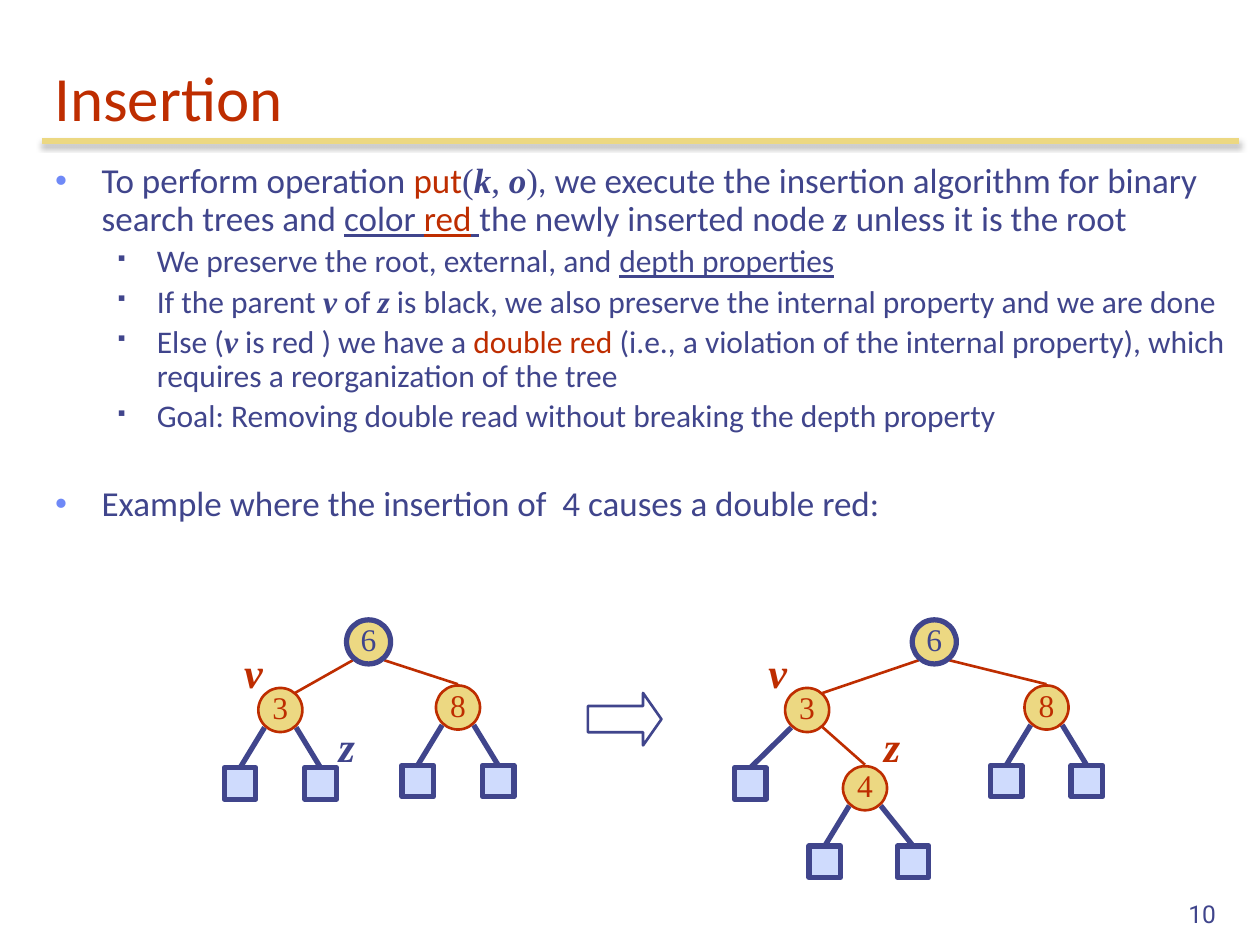
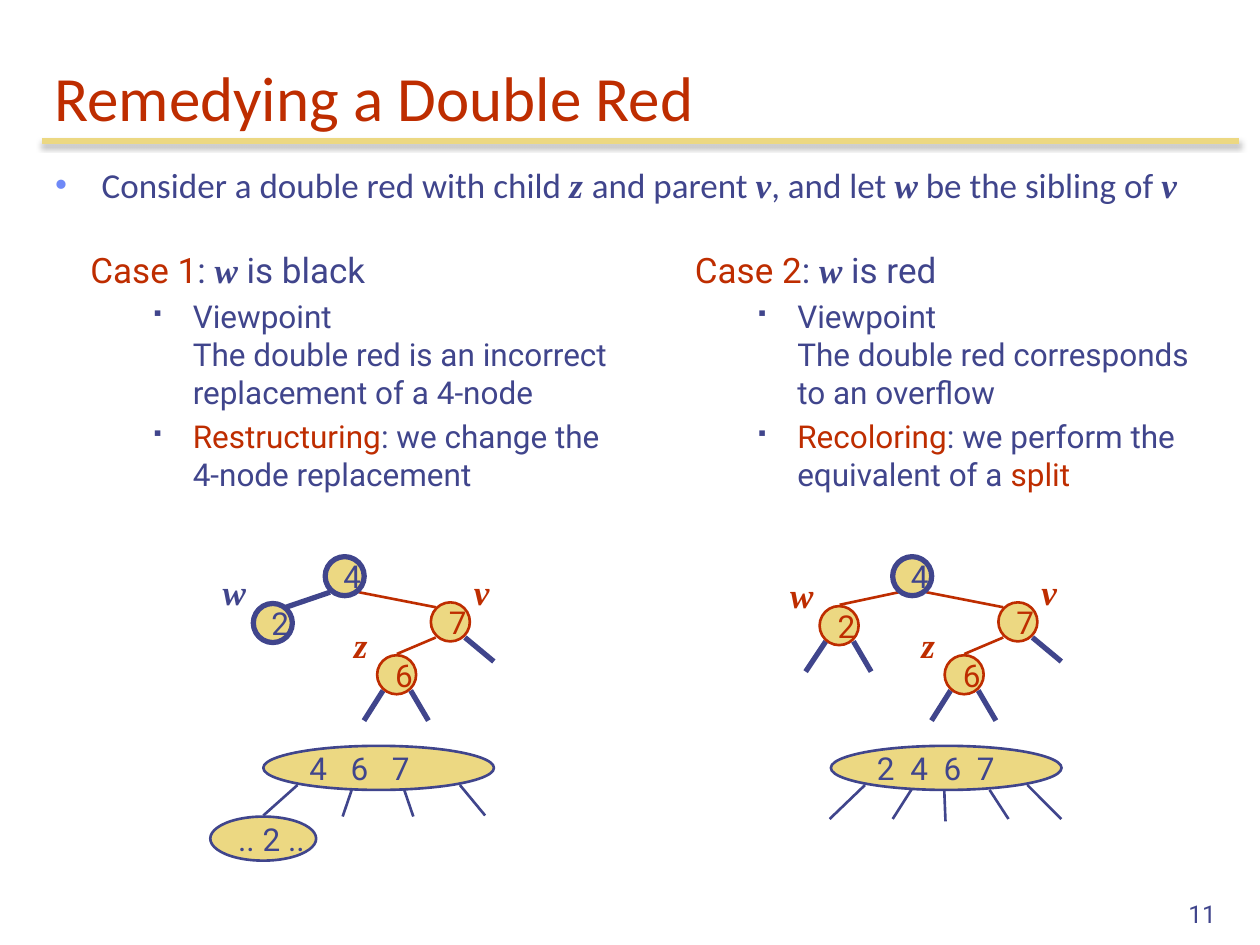
import math

import pptx
import pptx.dml.color
import pptx.enum.shapes
import pptx.enum.text
import pptx.oxml.ns
import pptx.util
from lxml import etree

Pt = pptx.util.Pt
qn = pptx.oxml.ns.qn
rgb = pptx.dml.color.RGBColor.from_string
SHAPE = pptx.enum.shapes.MSO_SHAPE
LINE = pptx.enum.shapes.MSO_CONNECTOR.STRAIGHT
ANCHOR = pptx.enum.text.MSO_ANCHOR
ALIGN = pptx.enum.text.PP_ALIGN

BLUE, RED, GOLD, PALE, DOT = "40458C", "BE2D00", "ECD882", "CFDBFD", "6F89F7"
BODY, MATH, LABEL = "Calibri", "Times New Roman", "Roboto"
THIN, THICK = 1.5, 3

# bullet, its font, colour and size in percent, left margin, hanging indent, text size
OUTLINE = {
    "point": ("•", MATH, DOT, 110, 27, 27, 20),
    "detail": ("§", "Wingdings", BLUE, 60, 58.5, 22.5, 18),
    "case": (None, None, None, None, 27, 27, 20),
}


def draw(slide, kind, place, colour, width, fill=None):
    """Add a preset shape at (left, top, width, height) or a LINE at (x1, y1, x2, y2)."""
    place = [Pt(length) for length in place]
    if kind is LINE:
        figure = slide.shapes.add_connector(kind, *place)
    else:
        figure = slide.shapes.add_shape(kind, *place)
        if fill:
            figure.fill.solid()
            figure.fill.fore_color.rgb = rgb(fill)
        else:
            figure.fill.background()
    figure.line.color.rgb = rgb(colour)
    figure.line.width = Pt(width)
    etree.SubElement(figure._element.spPr, qn("a:effectLst"))
    return figure


def write(shape, paragraphs, font, size=None, colour=BLUE, align=ALIGN.LEFT,
          anchor=ANCHOR.TOP, wrap=True, spacing=None):
    """Fill a shape with (outline style, runs) pairs.

    A run is a string or (string, marks): v variable, t math font, r red, u underlined.
    """
    frame = shape.text_frame
    frame.word_wrap = wrap
    frame.vertical_anchor = anchor
    for number, (style, runs) in enumerate(paragraphs):
        paragraph = frame.add_paragraph() if number else frame.paragraphs[0]
        paragraph.alignment = align
        paragraph.line_spacing = spacing
        text_size = size
        if style:
            bullet, bullet_font, bullet_colour, percent, margin, hanging, text_size = OUTLINE[style]
            paragraph.level = int(style == "detail")
            paragraph.space_before = Pt(0.2 * text_size)
            properties = paragraph._p.get_or_add_pPr()
            properties.set("marL", str(Pt(margin)))
            properties.set("indent", str(-Pt(hanging)))
            if bullet:
                tint = etree.SubElement(properties, qn("a:buClr"))
                etree.SubElement(tint, qn("a:srgbClr"), val=bullet_colour)
                etree.SubElement(properties, qn("a:buSzPct"), val=str(percent * 1000))
                etree.SubElement(properties, qn("a:buFont"), typeface=bullet_font)
                etree.SubElement(properties, qn("a:buChar"), char=bullet)
        paragraph.font.name = font
        paragraph.font.size = Pt(text_size)
        paragraph.font.color.rgb = rgb(colour)
        for run_spec in runs:
            text, marks = (run_spec, "") if isinstance(run_spec, str) else run_spec
            for line_number, line in enumerate(text.split("\n")):
                if line_number:
                    paragraph.add_line_break()
                run = paragraph.add_run()
                run.text = line
                if "v" in marks or "t" in marks:
                    run.font.name = MATH
                if "v" in marks:
                    run.font.bold = run.font.italic = True
                if "r" in marks:
                    run.font.color.rgb = rgb(RED)
                if "u" in marks:
                    run.font.underline = True


deck = pptx.Presentation()
deck.slide_width, deck.slide_height = Pt(720), Pt(540)

# Title, rule, body text and number of both slides
insertion_text = [
    ("point", ["To perform operation ", ("put", "r"), ("(", "t"), ("k", "v"), (", ", "t"),
               ("o", "v"), (")", "t"),
               ", we execute the insertion algorithm for binary search trees and ",
               ("color ", "u"), ("red", "ru"), (" ", "u"), "the newly inserted node ",
               ("z ", "v"), "unless it is the root"]),
    ("detail", ["We preserve the root, external, and ", ("depth properties", "u")]),
    ("detail", ["If the parent ", ("v", "v"), " of ", ("z", "v"),
                " is black, we also preserve the internal property and we are done"]),
    ("detail", ["Else (", ("v", "v"), " is red ) we have a ", ("double red", "r"),
                " (i.e., a violation of the internal property), which requires a "
                "reorganization of the tree"]),
    ("detail", ["Goal: Removing double read without breaking the depth property"]),
    ("point", ["Example where the insertion of  4 causes a double red:"]),
]
remedy_text = [
    ("point", ["Consider a double red with child ", ("z ", "v"), "and parent ", ("v", "v"),
               ", and let ", ("w", "v"), " be the sibling of ", ("v", "v")]),
]
slides, bodies = [], []
for page, title, text, spacing in [
    (10, "Insertion", insertion_text, 0.9),
    (11, "Remedying a Double Red", remedy_text, None),
]:
    slide = deck.slides.add_slide(deck.slide_layouts[6])
    rule = draw(slide, LINE, (24, 80.6, 708, 80.6), GOLD, 3)
    shadow = etree.SubElement(
        rule._element.spPr.find(qn("a:effectLst")), qn("a:outerShdw"),
        blurRad=str(Pt(3.1)), dist=str(Pt(1.8)), dir="5400000", rotWithShape="0")
    shade = etree.SubElement(shadow, qn("a:srgbClr"), val="000000")
    etree.SubElement(shade, qn("a:alpha"), val="35000")
    heading = slide.shapes.add_textbox(Pt(24), Pt(24), Pt(684), Pt(56))
    write(heading, [(None, [title])], BODY, 36, RED, anchor=ANCHOR.BOTTOM)
    body = slide.shapes.add_textbox(Pt(24), Pt(90), Pt(684), Pt(408))
    write(body, text, BODY, spacing=spacing)
    page_number = slide.shapes.add_textbox(Pt(552), Pt(498), Pt(150), Pt(36))
    write(page_number, [(None, [str(page)])], LABEL, 14, align=ALIGN.RIGHT,
          anchor=ANCHOR.BOTTOM)
    slides.append(slide)
    bodies.append(body)
insertion, remedy = slides
bodies[0].text_frame.paragraphs[-1].space_before = Pt(29.5)

# Insertion: trees before and after, each node with the offsets of its external nodes
for x1, y1, x2, y2 in [
    (219.6, 377.3, 261.7, 391), (201.6, 377.3, 168.5, 396),
    (542.5, 377.3, 598, 391), (525, 377.3, 470, 396), (470, 415.5, 494.3, 437),
]:
    draw(insertion, LINE, (x1, y1, x2, y2), RED, THIN)

for key, x, y, colour, leaf_offsets in [
    ("6", 210.6, 366.8, BLUE, []),
    ("3", 160.2, 405.7, RED, [-23, 23]),
    ("8", 261.7, 404.3, RED, [-23, 23]),
    ("6", 533.9, 366.8, BLUE, []),
    ("3", 461.2, 405.7, RED, [-32.4]),
    ("8", 598, 404.3, RED, [-23, 23]),
    ("4", 494.3, 450.4, RED, [-23, 27.5]),
]:
    for offset in leaf_offsets:
        leaf = draw(insertion, SHAPE.RECTANGLE, (x + offset - 9, y + 33, 18, 18),
                    BLUE, THICK, PALE)
        branch = draw(insertion, LINE,
                      (x + math.copysign(9, offset), y + 10, x + offset, y + 33), BLUE, THICK)
        branch.end_connect(leaf, 0)
    node = draw(insertion, SHAPE.OVAL, (x - 12.6, y - 12.6, 25.2, 25.2), colour,
                THICK if colour == BLUE else THIN, GOLD)
    write(node, [(None, [key])], MATH, 18, colour, ALIGN.CENTER, ANCHOR.MIDDLE, wrap=False)
    frame = node.text_frame
    frame.margin_left = frame.margin_right = frame.margin_top = 0
    frame.margin_bottom = Pt(3.6)

arrow = draw(insertion, SHAPE.RIGHT_ARROW, (336, 396, 42, 30), BLUE, THIN)
arrow.adjustments[0], arrow.adjustments[1] = 0.5, 0.35

# Remedying: one case per column
w_black = {
    "name": "Case 1", "state": " is black", "width": 324,
    "viewpoint": "The double red is an incorrect replacement of a 4-node",
    "remedy": [("Restructuring", "r"), ": we change the 4-node replacement"],
    "w": (155.9, 356, BLUE), "w_edge": (188.6, 338.4, 163.4, 347), "w_stubs": [],
    "keys": "4 6 7", "key_gap": 4.5,
    "legs": [(170, 448.6, 150.5, 466), (262.8, 448.6, 277.2, 466),
             (201, 451.4, 195.8, 466.6), (231, 451.4, 236.2, 466.6)],
}
w_red = {
    "name": "Case 2", "state": " is red", "width": 306,
    "viewpoint": "The double red corresponds to an overflow",
    "remedy": [("Recoloring", "r"), ": we perform the equivalent of a ", ("split", "r")],
    "w": (155.2, 357.5, RED), "w_edge": (189.4, 338.4, 155.5, 345.6),
    "w_stubs": [(163.4, 366.5, 173.5, 383.8), (147.6, 366.5, 136.1, 383.8)],
    "keys": "2 4 6 7", "key_gap": 2.25,
    "legs": [(170, 448.6, 149.8, 468), (262.8, 448.6, 282.2, 468),
             (197.3, 450, 185.8, 468), (241.2, 451.4, 252, 468), (215.3, 451.4, 216, 469.4)],
}
labels = [
    (insertion, "z", 186.5, 408, 24, BLUE), (insertion, "v", 132.5, 366, 24, RED),
    (insertion, "v", 432, 366, 24, RED), (insertion, "z", 498, 408, 24, RED),
]
for shift, text_left, case in [(0, 44.6, w_black), (324.3, 390, w_red)]:
    explanation = remedy.shapes.add_textbox(Pt(text_left), Pt(138.7), Pt(case["width"]), Pt(132))
    write(explanation, [
        ("case", [(case["name"], "r"), ": ", ("w", "v"), case["state"]]),
        ("detail", ["Viewpoint\n" + case["viewpoint"]]),
        ("detail", case["remedy"]),
    ], LABEL)

    w_x, w_y, w_colour = case["w"]
    red_edges = [(205, 338.4, 249, 347), (249, 364.3, 226.8, 373.7)]
    stubs = [(234.7, 394.6, 244.8, 411.8), (218.9, 394.6, 208, 411.8),
             (265.7, 364.3, 282.2, 378)] + case["w_stubs"]
    w_width = THICK if w_colour == BLUE else THIN
    for edges, colour, width in [
        (red_edges, RED, THIN), (stubs, BLUE, THICK),
        ([case["w_edge"]], w_colour, w_width), (case["legs"], BLUE, THIN),
    ]:
        for x1, y1, x2, y2 in edges:
            draw(remedy, LINE, (x1 + shift, y1, x2 + shift, y2), colour, width)

    ovals = [
        ("4", 185.8, 318.1, 22.3, 22.3, BLUE, THICK),
        ("7", 246.2, 344.2, 22.3, 22.3, RED, THIN),
        ("6", 215.5, 374.4, 22.3, 22.3, RED, THIN),
        ("2", w_x - 11.15, w_y - 11.15, 22.3, 22.3, w_colour, w_width),
        (case["keys"], 150.5, 426.2, 131.8, 25.2, BLUE, THIN),
    ]
    if case is w_black:
        ovals.append((".. 2 ..", 120.2, 466.6, 60.5, 25.2, BLUE, THIN))
    for keys, x, y, width, height, colour, outline in ovals:
        oval = draw(remedy, SHAPE.OVAL, (x + shift, y, width, height), colour, outline, GOLD)
        write(oval, [(None, [keys])], LABEL, 18, colour, anchor=ANCHOR.MIDDLE, wrap=False)
        if keys == case["keys"]:
            key_run = oval.text_frame.paragraphs[0].runs[0]
            key_run._r.get_or_add_rPr().set("spc", str(int(case["key_gap"] * 100)))

    labels += [
        (remedy, "z", 195.2 + shift, 353, 20, RED),
        (remedy, "v", 263.7 + shift, 322.6, 20, RED),
        (remedy, "w", 120.2 + shift, w_y - 33.4, 20, w_colour),
    ]

# Variable names beside the nodes
for slide, variable, x, y, size, colour in labels:
    label = slide.shapes.add_textbox(Pt(x), Pt(y), Pt(30), Pt(1.5 * size))
    write(label, [(None, [(variable, "v")])], MATH, size, colour)

deck.save("out.pptx")
